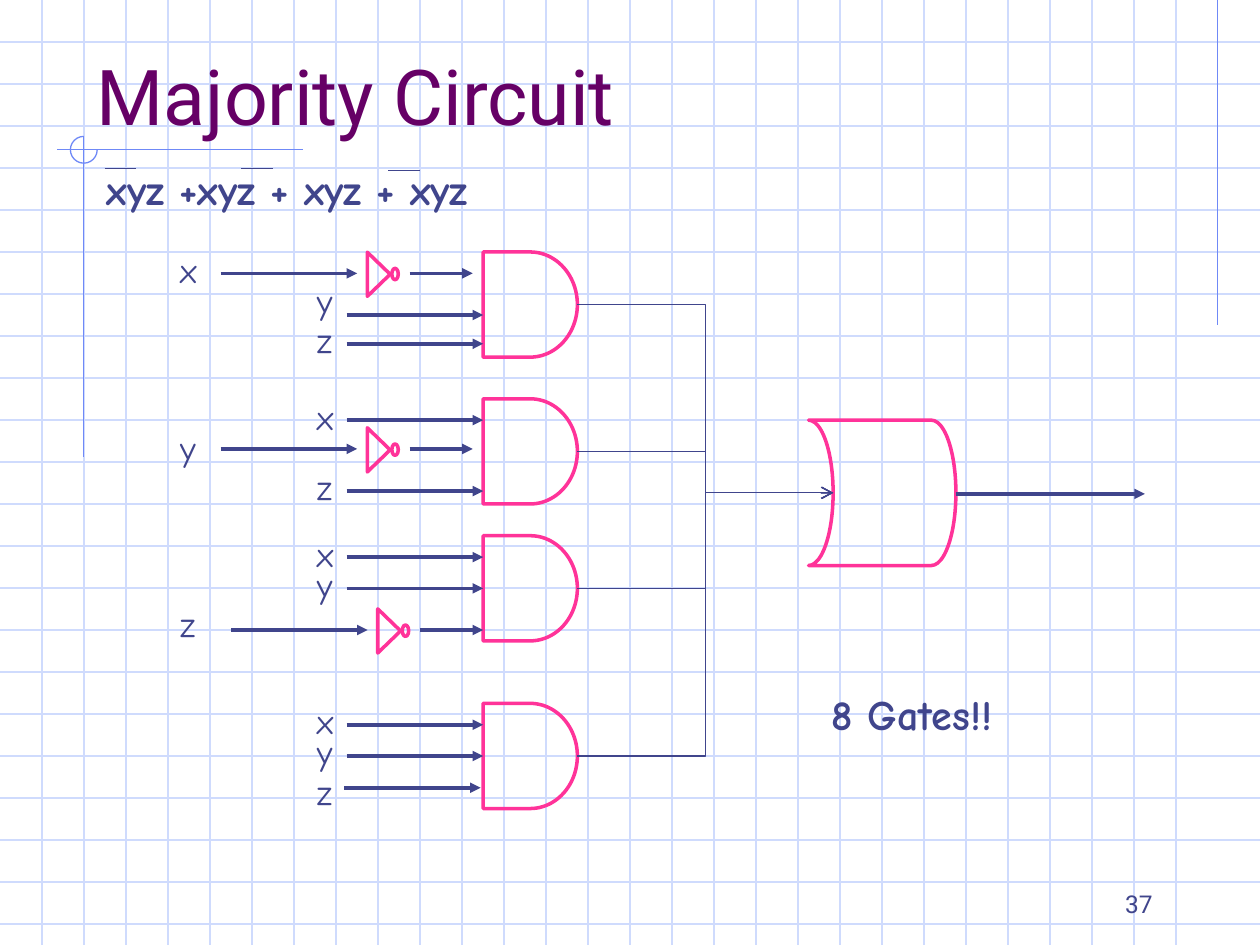
import pptx
import pptx.dml.color
import pptx.enum.shapes
import pptx.enum.text
import pptx.util
from lxml import etree
from pptx.oxml.ns import qn

Cm = pptx.util.Cm
SHAPE = pptx.enum.shapes.MSO_SHAPE
CONNECTOR = pptx.enum.shapes.MSO_CONNECTOR
ALIGN = pptx.enum.text.PP_ALIGN
ANCHOR = pptx.enum.text.MSO_ANCHOR

INK, PINK, PURPLE = "40458C", "FF3399", "660066"
GRID, ACCENT = "CFDBFD", "6F89F7"
PAGE_WIDTH, PAGE_HEIGHT = 25.4, 19.05
GRID_STEP = 2.54 / 3
GATE_LEFT, GATE_WIDTH, GATE_HEIGHT = 9.74, 1.9, 2.12
LABEL_TOPS = (-0.2, 0.43, 1.22)


def color(value):
    return pptx.dml.color.RGBColor.from_string(value)


def add_text(page, text, left, top, width, height, size=20, font="Comic Neue",
             tone=INK, bold=False, align=ALIGN.LEFT, anchor=ANCHOR.TOP):
    box = page.shapes.add_textbox(Cm(left), Cm(top), Cm(width), Cm(height))
    frame = box.text_frame
    frame.word_wrap = True
    frame.vertical_anchor = anchor
    para = frame.paragraphs[0]
    para.alignment = align
    span = para.add_run()
    span.text = text
    span.font.name = font
    span.font.size = pptx.util.Pt(size)
    span.font.bold = bold
    span.font.color.rgb = color(tone)
    return box


def add_line(page, start, end, tone=INK, weight=0.75, head=None, kind=CONNECTOR.STRAIGHT):
    line = page.shapes.add_connector(kind, *(Cm(value) for value in (*start, *end)))
    line.line.color.rgb = color(tone)
    line.line.width = pptx.util.Pt(weight)
    properties = line._element.spPr
    if head:
        etree.SubElement(properties.find(qn("a:ln")), qn("a:tailEnd"), type=head)
    etree.SubElement(properties, qn("a:effectLst"))
    return line


def add_wire(page, left, right, height):
    return add_line(page, (left, height), (right, height), weight=2, head="triangle")


def add_outline(page, kind, left, top, width, height, tone=PINK, weight=2, rotation=0):
    shape = page.shapes.add_shape(kind, Cm(left), Cm(top), Cm(width), Cm(height))
    shape.shadow.inherit = False
    shape.fill.background()
    shape.line.color.rgb = color(tone)
    shape.line.width = pptx.util.Pt(weight)
    shape.rotation = rotation
    return shape


def draw_background(page, width, height):
    for index in range(1, int(height / GRID_STEP) + 1):
        add_line(page, (0, index * GRID_STEP), (width, index * GRID_STEP), GRID)
    for index in range(1, int(width / GRID_STEP)):
        add_line(page, (index * GRID_STEP, 0), (index * GRID_STEP, height), GRID)
    add_line(page, (24.55, 0), (24.55, 6.55), ACCENT)


def draw_corner_mark(page, left, top):
    add_line(page, (left + 4.95, top + 0.27), (left, top + 0.27), ACCENT)
    add_line(page, (left + 0.54, top), (left + 0.54, top + 6.46), ACCENT)
    arc = add_outline(page, SHAPE.ARC, left + 0.27, top, 0.54, 0.54, ACCENT, 0.75)
    arc.adjustments[0] = 0
    arc.adjustments[1] = 162


def draw_formula(page, left, top):
    add_text(page, "xyz +xyz + xyz + xyz", left, top, 10.37, 1.27, size=24, bold=True)
    for offset, rise in ((0.21, 0.21), (2.96, 0.21), (5.93, 0.25)):
        add_line(page, (left + offset, top + rise), (left + offset + 0.64, top + rise))


def draw_inverter(page, left, height):
    add_wire(page, left, left + 2.75, height)
    add_outline(page, SHAPE.ISOSCELES_TRIANGLE, left + 2.74, height - 0.21, 0.89, 0.46,
                rotation=90)
    add_outline(page, SHAPE.FLOWCHART_CONNECTOR, left + 3.45, height - 0.1, 0.13, 0.23)
    add_wire(page, left + 3.81, left + 5.08, height)


def draw_and_gate(page, left, top, inputs):
    gate = add_outline(page, SHAPE.FLOWCHART_DELAY, left, top, GATE_WIDTH, GATE_HEIGHT)
    for name, label_top, (offset, inverted, shift) in zip("xyz", LABEL_TOPS, inputs):
        label_left = left - (6.36 if inverted else 3.6)
        add_text(page, name, label_left, top + label_top, 1.07, 1.12)
        if inverted:
            draw_inverter(page, left - 5.29 + shift, top + offset)
        else:
            wire = add_wire(page, left - 2.75 + shift, left + shift, top + offset)
            if offset == GATE_HEIGHT / 2:
                wire.end_connect(gate, 1)
    return gate


def draw_or_gate(page, left, top, width, height, gates):
    add_outline(page, SHAPE.FLOWCHART_STORED_DATA, left, top, width, height, rotation=180)
    middle = top + height / 2
    add_wire(page, left + width, left + width + 3.81, middle + 0.02)
    for gate in gates:
        start = (gate.left + gate.width) / Cm(1), (gate.top + gate.height / 2) / Cm(1)
        link = add_line(page, start, (left + width / 6, middle), head="arrow",
                        kind=CONNECTOR.ELBOW)
        link.begin_connect(gate, 3)


def main():
    deck = pptx.Presentation()
    deck.slide_width, deck.slide_height = Cm(PAGE_WIDTH), Cm(PAGE_HEIGHT)
    page = deck.slides.add_slide(deck.slide_layouts[6])
    draw_background(page, PAGE_WIDTH, PAGE_HEIGHT)
    draw_corner_mark(page, 1.15, 2.75)
    add_text(page, "37", 18.2, 17.99, 5.29, 0.64, size=14, font="Roboto",
             align=ALIGN.RIGHT, anchor=ANCHOR.BOTTOM)
    draw_formula(page, 1.9, 3.18)
    circuits = (
        (5.08, ((0.43, True, 0), (1.27, False, 0), (1.85, False, 0))),
        (8.04, ((0.43, False, 0), (1.01, True, 0), (1.86, False, 0))),
        (10.8, ((0.43, False, 0), (1.06, False, 0), (1.9, True, 0.21))),
        (14.18, ((0.43, False, 0), (1.06, False, 0), (1.7, False, -0.05))),
    )
    gates = [draw_and_gate(page, GATE_LEFT, top, inputs) for top, inputs in circuits]
    draw_or_gate(page, 16.3, 8.47, 2.97, 2.93, gates)
    add_text(page, "Majority Circuit", 1.7, 0.85, 22.86, 1.7, size=44, font="Roboto", tone=PURPLE)
    add_text(page, "8 Gates!!", 16.51, 13.76, 5.72, 1.27, size=24, bold=True)
    deck.save("out.pptx")


if __name__ == "__main__":
    main()
